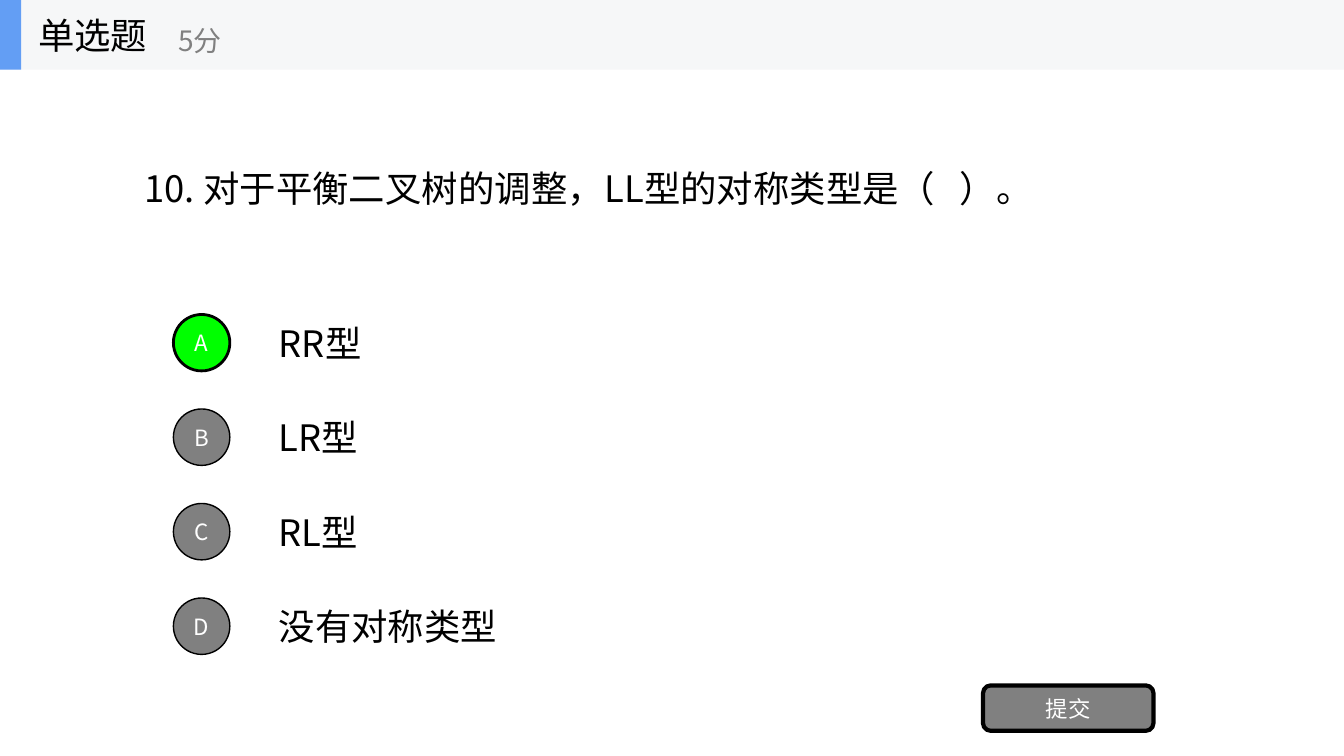
from lxml import etree
from pptx import Presentation, util as u
from pptx.dml.color import RGBColor
from pptx.enum import shapes, text
from pptx.oxml.ns import qn

THEME = {
    "font": "Noto Sans CJK SC",
    "ink": "000000", "muted": "808080", "white": "FFFFFF",
    "correct": "00FF00", "band": "F6F7F8", "accent": "639EF4",
    "body": 26, "points": 20, "label": 16,
}
W, H = 13.33, 7.5
HEADER_H = 0.69
ROW_TOP, ROW_STEP, ROW_H = 3.05, H / 8, 0.7
DOT = 0.56

prs = Presentation()
prs.slide_width, prs.slide_height = u.Inches(W), u.Inches(H)
s = prs.slides.add_slide(prs.slide_layouts[5])


def write(sp, words, size, color, align=text.PP_ALIGN.LEFT):
    """Put one formatted line of text, vertically centred, into a shape."""
    tf = sp.text_frame
    for name, value in {"word_wrap": True, "auto_size": text.MSO_AUTO_SIZE.NONE,
                        "vertical_anchor": text.MSO_ANCHOR.MIDDLE}.items():
        setattr(tf, name, value)
    p = tf.paragraphs[0]
    p.alignment = align
    r = p.add_run()
    r.text = words
    r.font.color.rgb = RGBColor.from_string(THEME[color])
    for name, value in {"size": u.Pt(THEME[size]), "name": THEME["font"]}.items():
        setattr(r.font, name, value)
    etree.SubElement(r.font._element, qn("a:ea"), typeface=THEME["font"])


def block(parent, kind, box, fill, line=0):
    """Add a filled preset shape, outlined when line is above zero."""
    sp = parent.add_shape(kind, *map(u.Inches, box))
    sp.shadow.inherit = False
    sp.fill.solid()
    sp.fill.fore_color.rgb = RGBColor.from_string(THEME[fill])
    if line:
        sp.line.color.rgb = RGBColor.from_string(THEME["ink"])
        sp.line.width = u.Pt(line)
    else:
        sp.line.fill.background()
    return sp


# Question
question = s.shapes.title
box = (W / 10, HEADER_H, W * 0.8, 2.34)
for name, value in zip(("left", "top", "width", "height"), box):
    setattr(question, name, u.Inches(value))
write(question, "10. 对于平衡二叉树的调整，LL型的对称类型是（   ）。", "body", "ink")

# Answer options, with the correct one highlighted
options = {"A": "RR型", "B": "LR型", "C": "RL型", "D": "没有对称类型"}
for i, (letter, answer) in enumerate(options.items()):
    top = ROW_TOP + i * ROW_STEP
    tb = s.shapes.add_textbox(*map(u.Inches, (W / 5, top, W * 0.7, ROW_H)))
    write(tb, answer, "body", "ink")
    fill, line = ("correct", 2) if letter == "A" else ("muted", 1)
    dot = block(s.shapes, shapes.MSO_SHAPE.OVAL,
                (1.72, top + (ROW_H - DOT) / 2, DOT, DOT), fill, line)
    dot.text_frame.margin_left = dot.text_frame.margin_right = 0
    write(dot, letter, "label", "white", text.PP_ALIGN.CENTER)

# Submit button
button = block(s.shapes, shapes.MSO_SHAPE.ROUNDED_RECTANGLE,
               (9.75, 6.8, 1.69, 0.45), "muted", 3)
write(button, "提交", "label", "white", text.PP_ALIGN.CENTER)

# Header band with question type and points
header = s.shapes.add_group_shape().shapes
for width, fill in ((W, "band"), (0.21, "accent")):
    block(header, shapes.MSO_SHAPE.RECTANGLE, (0, 0, width, HEADER_H), fill)
for box, words, size, color in (
        ((0.28, 0, 2.08, HEADER_H), "单选题", "body", "ink"),
        ((1.67, 0.12, 2.5, 0.56), "5分", "points", "muted")):
    write(header.add_textbox(*map(u.Inches, box)), words, size, color)

prs.save("out.pptx")
